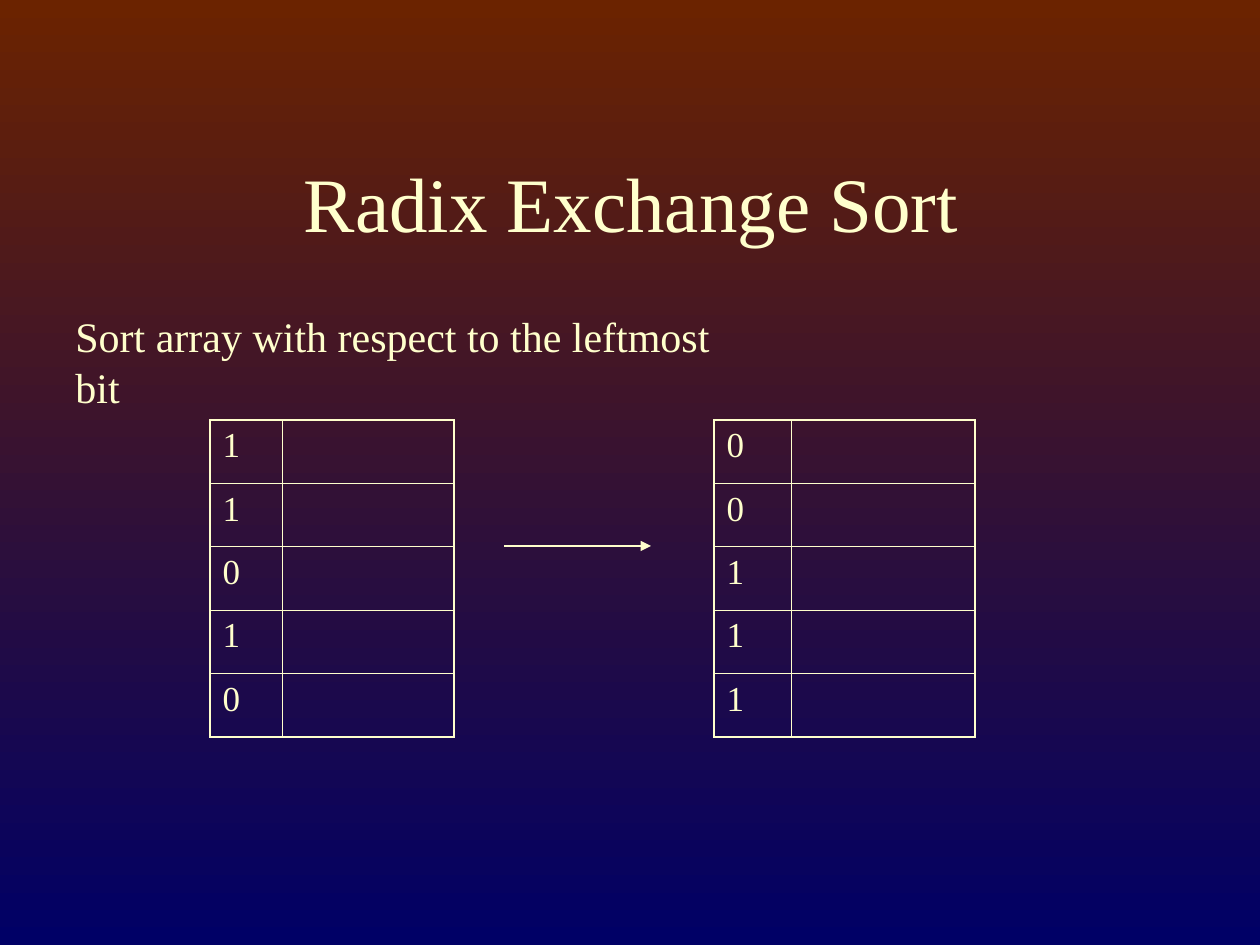
from dataclasses import dataclass

from lxml import etree
from pptx import Presentation
from pptx.dml.color import RGBColor
from pptx.enum import shapes, text
from pptx.oxml import ns
from pptx.util import Pt


@dataclass(frozen=True)
class Theme:
    """Colours, font and sizes of the slide."""
    sky: str = "6B2300"
    ground: str = "000066"
    ink: str = "FFFFCC"
    font: str = "Times New Roman"
    title: float = 44
    body: float = 24
    digit: float = 20
    outer: float = 1.08
    inner: float = 0.45
    arrow: float = 1


THEME = Theme()


def apply_format(target, values):
    """Set each attribute of target from a dict."""
    for name, value in values.items():
        setattr(target, name, value)


def style_paragraph(paragraph, words, size, align):
    """Write words with the theme font."""
    paragraph.text = words
    paragraph.alignment = align
    apply_format(paragraph.font, {"name": THEME.font, "size": Pt(size)})
    paragraph.font.color.rgb = RGBColor.from_string(THEME.ink)


def paint_background(slide):
    """Fade the background from top to bottom."""
    fill = slide.background.fill
    fill.gradient()
    fill.gradient_angle = 270
    for stop, colour, position in zip(fill.gradient_stops, (THEME.sky, THEME.ground), (0, 1)):
        stop.color.rgb = RGBColor.from_string(colour)
        stop.position = position


def add_label(slide, box, words, size, align, frame_format):
    """Add a line of text in a box of points."""
    frame = slide.shapes.add_textbox(*map(Pt, box)).text_frame
    apply_format(frame, frame_format)
    style_paragraph(frame.paragraphs[0], words, size, align)


def add_border(cell, side, width):
    """Draw one side of a cell."""
    line = etree.SubElement(cell._tc.get_or_add_tcPr(), ns.qn(f"a:ln{side}"), w=str(Pt(width)))
    fill = etree.SubElement(line, ns.qn("a:solidFill"))
    etree.SubElement(fill, ns.qn("a:srgbClr"), val=THEME.ink)


def add_bit_array(slide, left, top, widths, row_height, bits):
    """Add a table of leading bits beside an empty column."""
    height = row_height * len(bits)
    frame = slide.shapes.add_table(
        len(bits), len(widths), Pt(left), Pt(top), Pt(sum(widths)), Pt(height))
    table = frame.table
    apply_format(table, {"first_row": False, "horz_banding": False})
    for column, width in zip(table.columns, widths):
        column.width = Pt(width)
    for row, bit in enumerate(bits):
        table.rows[row].height = Pt(row_height)
        for column, words in enumerate((bit, "")):
            cell = table.cell(row, column)
            style_paragraph(cell.text_frame.paragraphs[0], words, THEME.digit, text.PP_ALIGN.LEFT)
            edges = {"L": column == 0, "R": column == len(widths) - 1,
                     "T": row == 0, "B": row == len(bits) - 1}
            for side, is_outer in edges.items():
                add_border(cell, side, THEME.outer if is_outer else THEME.inner)
            cell.fill.background()


def add_arrow(slide, start, end):
    """Add a straight arrow between two points."""
    arrow = slide.shapes.add_connector(
        shapes.MSO_CONNECTOR.STRAIGHT, *map(Pt, start + end))
    arrow.line.color.rgb = RGBColor.from_string(THEME.ink)
    arrow.line.width = Pt(THEME.arrow)
    etree.SubElement(arrow.line._get_or_add_ln(), ns.qn("a:tailEnd"), type="triangle")
    etree.SubElement(arrow._element.spPr, ns.qn("a:effectLst"))


def main():
    """Build and save the slide."""
    deck = Presentation()
    apply_format(deck, {"slide_width": Pt(720), "slide_height": Pt(540)})
    slide = deck.slides.add_slide(deck.slide_layouts[6])
    paint_background(slide)
    add_label(slide, (10.8, 69.8, 700, 90.7), "Radix Exchange Sort", THEME.title,
              text.PP_ALIGN.CENTER,
              {"word_wrap": True, "vertical_anchor": text.MSO_ANCHOR.MIDDLE})
    for left, widths, bits in ((120, (41.4, 98.2), "11010"),
                               (408, (44.2, 105), "00111")):
        add_bit_array(slide, left, 240, widths, 36.25, bits)
    add_label(slide, (36, 174, 408, 36), "Sort array with respect to the leftmost bit",
              THEME.body, text.PP_ALIGN.LEFT,
              {"word_wrap": False, "auto_size": text.MSO_AUTO_SIZE.SHAPE_TO_FIT_TEXT})
    add_arrow(slide, (288, 312), (372, 312))
    deck.save("out.pptx")


if __name__ == "__main__":
    main()
